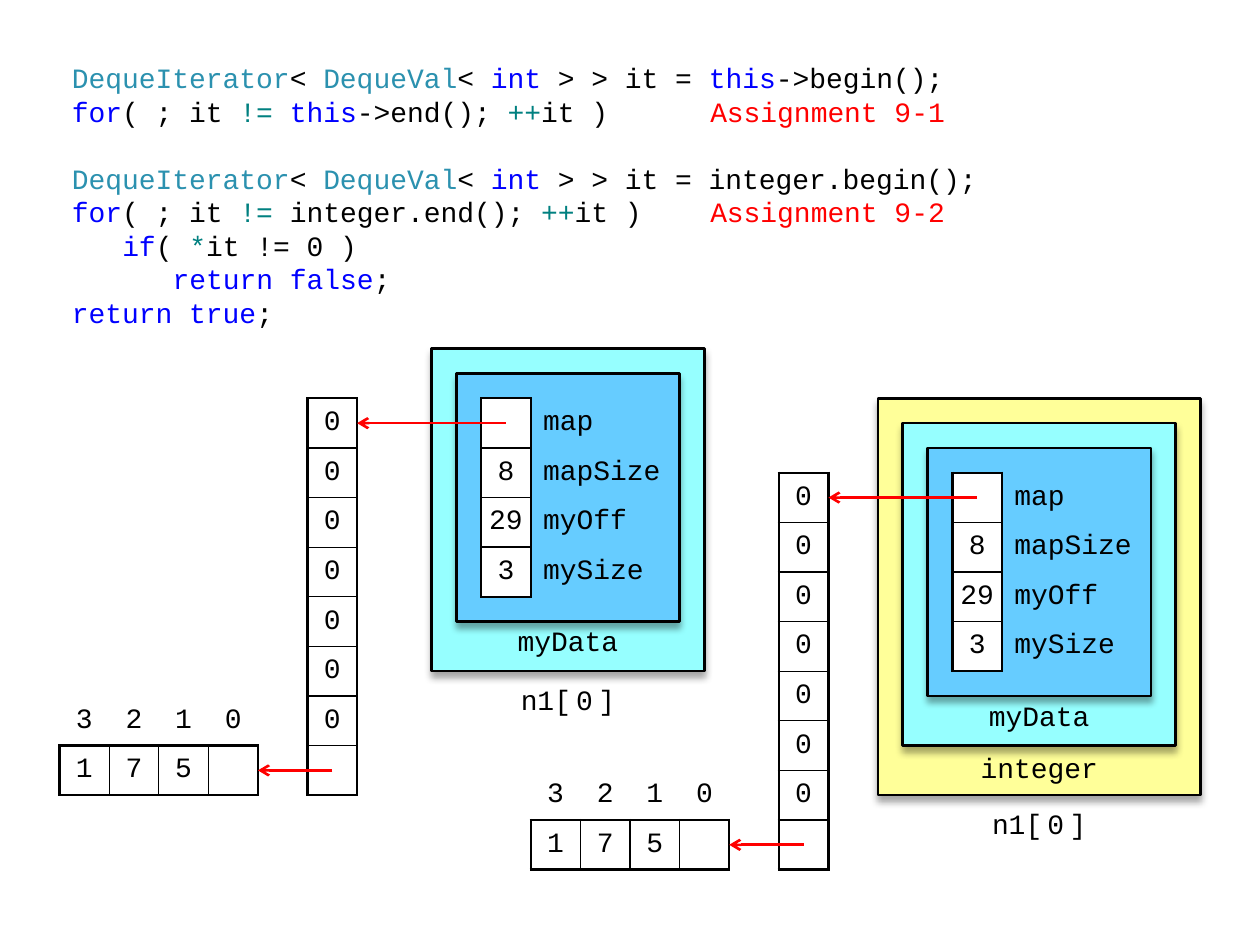
from dataclasses import dataclass
from typing import Any

from lxml.etree import SubElement
from pptx import Presentation
from pptx.dml.color import RGBColor as Rgb
from pptx.enum.shapes import MSO_CONNECTOR as Connector, MSO_SHAPE as Preset
from pptx.enum.text import MSO_ANCHOR as Anchor, PP_ALIGN as Align
from pptx.oxml.ns import qn
from pptx.util import Cm, Pt

COLORS = {
    "black": "000000", "white": "FFFFFF", "red": "FF0000", "type": "2B91AF",
    "keyword": "0000FF", "operator": "008080", "yellow": "FFFF99",
    "cyan": "96FFFF", "blue": "66CCFF",
}
FONT = {"name": "Courier New", "size": Pt(16)}
CHAR = Pt(9.6)
LINE_PITCH = Pt(19.2)
ASSIGNMENT_COLUMN = 38
NO_STYLE = "{2D5ABB26-0587-4C30-8999-92F81FD0307C}"
FRAME_WIDTH = 1.5
TAB = "\t"


@dataclass(frozen=True)
class Run:
    text: str
    color: str = "black"
    spacing: int = 0


@dataclass(frozen=True)
class CodeLine:
    runs: tuple[Run, ...]
    indent: int = 0
    lines_before: int = 0


@dataclass(frozen=True)
class Box:
    left: float
    top: float
    width: float
    height: float
    color: str = "white"


@dataclass(frozen=True)
class Label:
    box: Box
    runs: tuple[Run, ...]
    anchor: Anchor = Anchor.TOP
    margin_top: float = 0.05
    margin_bottom: float = 0


@dataclass(frozen=True)
class Grid:
    left: float
    top: float
    rows: tuple[tuple[str, ...], ...]
    framed: frozenset[tuple[int, int]]
    widths: tuple[float, ...]
    inner_width: float


@dataclass(frozen=True)
class Arrow:
    start_x: float
    end_x: float
    y: float


@dataclass(frozen=True)
class Diagram:
    left: float
    top: float
    boxes: tuple[Box, ...]
    labels: tuple[Label, ...]


def cells(rows: range, columns: range) -> frozenset[tuple[int, int]]:
    return frozenset((row, column) for row in rows for column in columns)


def iterator_line(target: str, color: str, rest: str, lines_before: int = 0) -> CodeLine:
    return CodeLine((Run("DequeIterator", "type"), Run("< "), Run("DequeVal", "type"), Run("< "),
                     Run("int", "keyword"), Run(" > > it = "), Run(target, color), Run(rest)),
                    lines_before=lines_before)


def loop_line(target: str, color: str, assignment: str) -> CodeLine:
    return CodeLine((Run("for", "keyword"), Run("( ; it "), Run("!= ", "operator"),
                     Run(target, color), Run("->end(); " if target == "this" else ".end(); "),
                     Run("++", "operator"), Run("it )" + TAB), Run(assignment, "red")))


CODE = (
    iterator_line("this", "keyword", "->begin();"),
    loop_line("this", "keyword", "Assignment 9-1"),
    iterator_line("integer", "black", ".begin();", lines_before=1),
    loop_line("integer", "black", "Assignment 9-2"),
    CodeLine((Run("if", "keyword"), Run("( "), Run("*", "operator"), Run("it != 0 )")), indent=3),
    CodeLine((Run("return false", "keyword"), Run(";")), indent=6),
    CodeLine((Run("return true", "keyword"), Run(";"))),
)
DATA_BOXES = (Box(-1, -1, 5.5, 6.5, "cyan"), Box(-0.5, -0.5, 4.5, 5, "blue"))
DATA_LABEL = Label(Box(0.5, 4.5, 2.5, 1), (Run("myData"),))
GRIDS = (
    Grid(0, 0, (("", "map"), ("8", "mapSize"), ("29", "myOff"), ("3", "mySize")),
         cells(range(4), range(1)), (1, 3), 1),
    Grid(-3.5, 0, (("0",),) * 7 + (("",),), cells(range(8), range(1)), (1,), 0.75),
    Grid(-8.5, 6, (tuple("3210"), ("1", "7", "5", "")), cells(range(1, 2), range(4)), (1,) * 4, 0.75),
)
ARROWS = (Arrow(0.5, -2.5, 0.5), Arrow(-3, -4.5, 7.5))


def element_label(top: float) -> Label:
    return Label(Box(0.5, top, 2.5, 1), (Run("n1"), Run("[0", spacing=300), Run("]")),
                 Anchor.BOTTOM, 0.13, 0.1)


DIAGRAMS = (
    Diagram(9.7, 8.03, DATA_BOXES, (element_label(5.5), DATA_LABEL)),
    Diagram(19.2, 9.53, (Box(-1.5, -1.5, 6.5, 8, "yellow"),) + DATA_BOXES,
            (Label(Box(0, 5.5, 3.5, 1), (Run("integer"),), margin_top=0.1),
             element_label(6.5), DATA_LABEL)),
)


def apply(target: Any, values: dict[str, Any]) -> None:
    for name, value in values.items():
        setattr(target, name, value)


def rgb(color: str) -> Rgb:
    return Rgb.from_string(COLORS[color])


def add_runs(paragraph: Any, runs: tuple[Run, ...]) -> None:
    for item in runs:
        run = paragraph.add_run()
        run.text = item.text
        apply(run.font, FONT)
        run.font.color.rgb = rgb(item.color)
        if item.spacing:
            run.font._element.set("spc", str(item.spacing))


def add_code(slide: Any, box: Box) -> None:
    frame = slide.shapes.add_textbox(Cm(box.left), Cm(box.top), Cm(box.width), Cm(box.height)).text_frame
    apply(frame, {"word_wrap": True, "margin_top": Cm(0.2)})
    for index, line in enumerate(CODE):
        paragraph = frame.add_paragraph() if index else frame.paragraphs[0]
        apply(paragraph, {"line_spacing": LINE_PITCH, "space_before": line.lines_before * LINE_PITCH})
        properties = paragraph._p.get_or_add_pPr()
        properties.set("marL", str(line.indent * CHAR))
        stops = SubElement(properties, qn("a:tabLst"))
        SubElement(stops, qn("a:tab"), pos=str(ASSIGNMENT_COLUMN * CHAR), algn="l")
        add_runs(paragraph, line.runs)


def add_box(slide: Any, x: float, y: float, box: Box) -> None:
    shape = slide.shapes.add_shape(Preset.FLOWCHART_PROCESS, Cm(x + box.left), Cm(y + box.top),
                                   Cm(box.width), Cm(box.height))
    shape.fill.solid()
    shape.fill.fore_color.rgb = rgb(box.color)
    shape.line.color.rgb = rgb("black")
    shape.line.width = Pt(FRAME_WIDTH)
    effects = SubElement(shape._element.spPr, qn("a:effectLst"))
    shadow = SubElement(effects, qn("a:outerShdw"), blurRad=str(Pt(4)), dist=str(Pt(3)),
                        dir="5400000", rotWithShape="0")
    color = SubElement(shadow, qn("a:srgbClr"), val=COLORS["black"])
    SubElement(color, qn("a:alpha"), val="35000")


def add_label(slide: Any, x: float, y: float, label: Label) -> None:
    box = label.box
    frame = slide.shapes.add_textbox(Cm(x + box.left), Cm(y + box.top),
                                     Cm(box.width), Cm(box.height)).text_frame
    apply(frame, {"word_wrap": True, "vertical_anchor": label.anchor,
                  "margin_left": Cm(0.2), "margin_right": Cm(0.2),
                  "margin_top": Cm(label.margin_top), "margin_bottom": Cm(label.margin_bottom)})
    frame.paragraphs[0].alignment = Align.CENTER
    add_runs(frame.paragraphs[0], label.runs)


def add_borders(cell: Any, grid: Grid, row: int, column: int) -> None:
    neighbours = {"lnL": (row, column - 1), "lnR": (row, column + 1),
                  "lnT": (row - 1, column), "lnB": (row + 1, column)}
    for side, neighbour in neighbours.items():
        framed_sides = len({(row, column), neighbour} & grid.framed)
        if framed_sides:
            width = FRAME_WIDTH if framed_sides == 1 else grid.inner_width
            line = SubElement(cell._tc.get_or_add_tcPr(), qn(f"a:{side}"), w=str(Pt(width)))
            SubElement(SubElement(line, qn("a:solidFill")), qn("a:srgbClr"), val=COLORS["black"])


def add_grid(slide: Any, x: float, y: float, grid: Grid) -> None:
    table = slide.shapes.add_table(len(grid.rows), len(grid.widths), Cm(x + grid.left), Cm(y + grid.top),
                                   Cm(sum(grid.widths)), Cm(len(grid.rows))).table
    apply(table, {"first_row": False, "horz_banding": False})
    table._tbl.tblPr.find(qn("a:tableStyleId")).text = NO_STYLE
    for column, width in zip(table.columns, grid.widths):
        column.width = Cm(width)
    for row, texts in enumerate(grid.rows):
        table.rows[row].height = Cm(1)
        for column, text in enumerate(texts):
            cell = table.cell(row, column)
            wide = grid.widths[column] > 1
            side = Cm(0.25 if wide else 0)
            apply(cell, {"vertical_anchor": Anchor.MIDDLE, "margin_left": side, "margin_right": side,
                         "margin_top": Cm(0.1), "margin_bottom": Cm(0.1)})
            add_borders(cell, grid, row, column)
            if (row, column) in grid.framed:
                cell.fill.solid()
                cell.fill.fore_color.rgb = rgb("white")
            else:
                cell.fill.background()
            paragraph = cell.text_frame.paragraphs[0]
            paragraph.alignment = Align.LEFT if wide else Align.CENTER
            if text:
                add_runs(paragraph, (Run(text),))


def add_arrow(slide: Any, x: float, y: float, arrow: Arrow) -> None:
    connector = slide.shapes.add_connector(Connector.STRAIGHT, Cm(x + arrow.start_x), Cm(y + arrow.y),
                                           Cm(x + arrow.end_x), Cm(y + arrow.y))
    connector.line.color.rgb = rgb("red")
    connector.line.width = Pt(FRAME_WIDTH)
    SubElement(connector.line._get_or_add_ln(), qn("a:tailEnd"), type="arrow")
    SubElement(connector._element.spPr, qn("a:effectLst"))


def main() -> None:
    presentation = Presentation()
    apply(presentation, {"slide_width": Cm(25.4), "slide_height": Cm(19.05)})
    slide = presentation.slides.add_slide(presentation.slide_layouts[6])
    add_code(slide, Box(1.2, 1.02, 19, 6))
    for diagram in DIAGRAMS:
        for draw, items in ((add_box, diagram.boxes), (add_label, diagram.labels),
                            (add_grid, GRIDS), (add_arrow, ARROWS)):
            for item in items:
                draw(slide, diagram.left, diagram.top, item)
    presentation.save("out.pptx")


if __name__ == "__main__":
    main()
